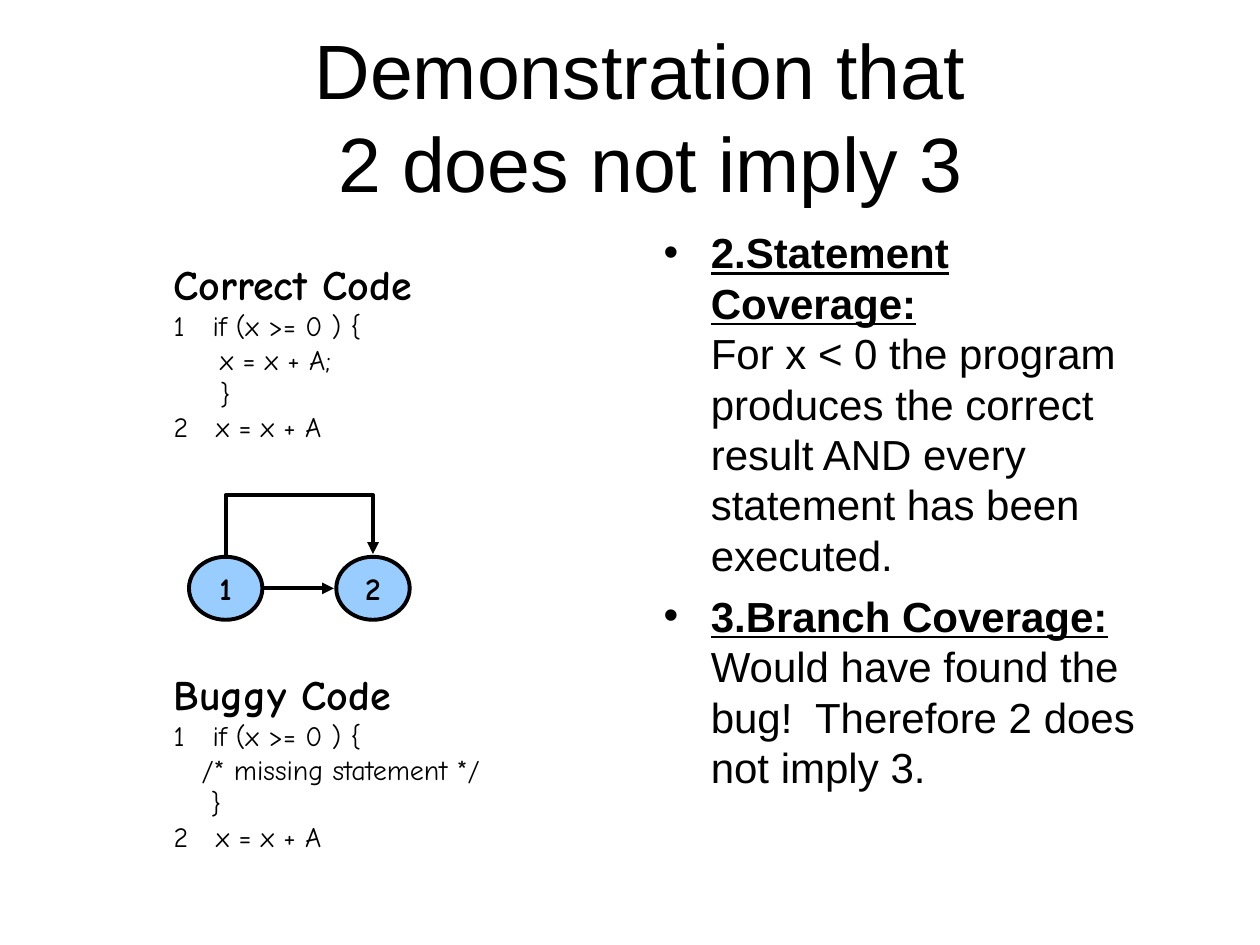
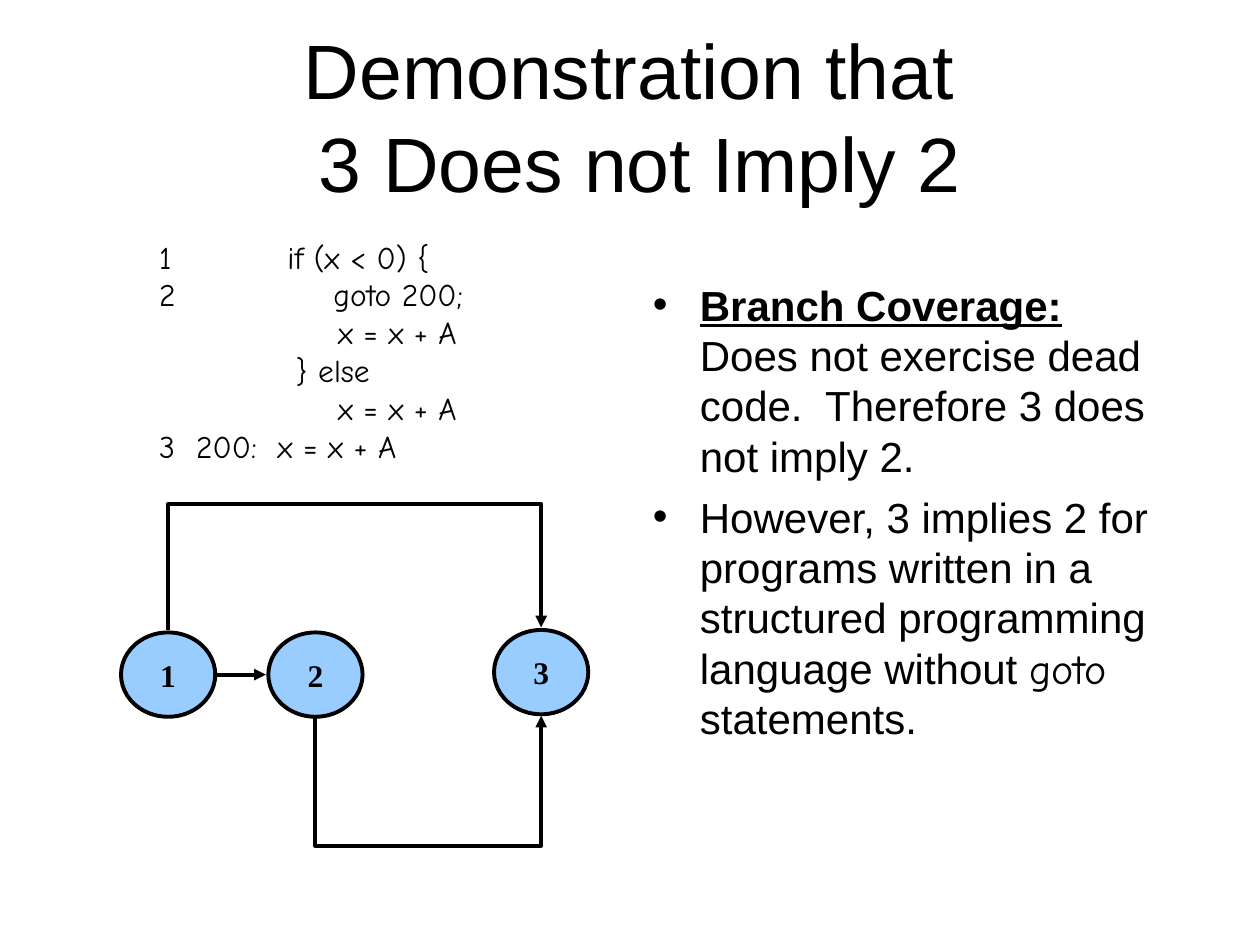
import pptx
import pptx.dml.color
import pptx.enum.shapes
import pptx.enum.text
import pptx.oxml.ns
import pptx.util
from lxml import etree

Cm = pptx.util.Cm
Pt = pptx.util.Pt
qn = pptx.oxml.ns.qn

BLACK = pptx.dml.color.RGBColor(0x00, 0x00, 0x00)
NODE_BLUE = pptx.dml.color.RGBColor(0x99, 0xCC, 0xFF)
BODY_FONT = "Arial"
CODE_FONT = "Comic Neue"
SERIF_FONT = "Times New Roman"
STROKE = Pt(2.25)

PLAIN, HEADING, CODE, BREAK = "plain", "heading", "code", "break"


def add_text_box(slide, box, anchor):
    frame = slide.shapes.add_textbox(*(Cm(length) for length in box)).text_frame
    frame.word_wrap = True
    frame.vertical_anchor = anchor
    return frame


def next_paragraph(frame, index):
    return frame.add_paragraph() if index else frame.paragraphs[0]


def style_paragraph(paragraph, size, name, bold=False):
    paragraph.line_spacing = Pt(1.2 * size)
    paragraph.font.size = Pt(size)
    paragraph.font.name = name
    paragraph.font.bold = bold
    paragraph.font.color.rgb = BLACK


def add_title(slide, text):
    frame = add_text_box(slide, (2.11, 0.84, 21.59, 2.97),
                         pptx.enum.text.MSO_ANCHOR.MIDDLE)
    title = frame.paragraphs[0]
    title.text = text
    title.alignment = pptx.enum.text.PP_ALIGN.CENTER
    style_paragraph(title, 44, BODY_FONT)


def add_bullets(slide, box, bullets):
    """Each bullet is a list of (kind, text) pieces."""
    frame = add_text_box(slide, box, pptx.enum.text.MSO_ANCHOR.TOP)
    for index, pieces in enumerate(bullets):
        paragraph = next_paragraph(frame, index)
        properties = paragraph._p.get_or_add_pPr()
        properties.set("marL", str(Cm(0.95)))
        properties.set("indent", str(-Cm(0.95)))
        etree.SubElement(properties, qn("a:buFont"), typeface=BODY_FONT)
        etree.SubElement(properties, qn("a:buChar"), char="•")
        if index:
            paragraph.space_before = Pt(6)
        style_paragraph(paragraph, 24, BODY_FONT)
        for kind, text in pieces:
            if kind == BREAK:
                paragraph.add_line_break()
                continue
            run = paragraph.add_run()
            run.text = text
            if kind == HEADING:
                run.font.bold = True
                run.font.underline = True
            elif kind == CODE:
                run.font.name = CODE_FONT


def add_code(slide, box, lines, size, heading=None):
    frame = add_text_box(slide, box, pptx.enum.text.MSO_ANCHOR.MIDDLE)
    styled = [(heading, 24, True)] if heading else []
    styled += [(line, size, False) for line in lines]
    for index, (text, points, bold) in enumerate(styled):
        paragraph = next_paragraph(frame, index)
        paragraph.text = text
        style_paragraph(paragraph, points, CODE_FONT, bold)


def add_node(slide, label, center, size, font_name):
    (x, y), (width, height) = center, size
    node = slide.shapes.add_shape(
        pptx.enum.shapes.MSO_SHAPE.OVAL,
        Cm(x - width / 2), Cm(y - height / 2), Cm(width), Cm(height))
    node.shadow.inherit = False
    node.fill.solid()
    node.fill.fore_color.rgb = NODE_BLUE
    node.line.color.rgb = BLACK
    node.line.width = STROKE
    node.text_frame.word_wrap = False
    node.text_frame.vertical_anchor = pptx.enum.text.MSO_ANCHOR.MIDDLE
    paragraph = node.text_frame.paragraphs[0]
    paragraph.text = label
    paragraph.alignment = pptx.enum.text.PP_ALIGN.CENTER
    style_paragraph(paragraph, 18, font_name, bold=True)


def add_arrow(slide, start, end, kind=pptx.enum.shapes.MSO_CONNECTOR.STRAIGHT):
    arrow = slide.shapes.add_connector(
        kind, *(Cm(length) for length in (*start, *end)))
    arrow.line.color.rgb = BLACK
    arrow.line.width = STROKE
    etree.SubElement(arrow.line._get_or_add_ln(), qn("a:tailEnd"), type="triangle")
    etree.SubElement(arrow._element.spPr, qn("a:effectLst"))
    return arrow


def add_detour(slide, start, end, via_y):
    """Arrow that leaves vertically, crosses at via_y and returns; end is a bit above start."""
    arrow = add_arrow(slide, start, end, pptx.enum.shapes.MSO_CONNECTOR.ELBOW)
    rise, run = start[1] - end[1], end[0] - start[0]
    middle_x, middle_y = (start[0] + end[0]) / 2, (start[1] + end[1]) / 2
    # A quarter turn makes the first leg vertical
    arrow.left, arrow.top = Cm(middle_x - rise / 2), Cm(middle_y - run / 2)
    arrow.width, arrow.height = Cm(rise), Cm(run)
    frame = arrow._element.spPr.find(qn("a:xfrm"))
    for key, value in (("rot", "5400000"), ("flipH", "1"), ("flipV", "1")):
        frame.set(key, value)
    bend = round((start[1] - via_y) / rise * 100000)
    guides = arrow._element.spPr.find(qn("a:prstGeom")).find(qn("a:avLst"))
    etree.SubElement(guides, qn("a:gd"), name="adj1", fmla=f"val {bend}")


def build_statement_slide(slide):
    add_title(slide, "Demonstration that\v 2 does not imply 3")
    add_bullets(slide, (13.13, 4.45, 10.59, 12.27), [
        [(HEADING, "2.Statement Coverage:"), (BREAK, ""),
         (PLAIN, "For x < 0 the program produces the correct result AND "
                 "every statement has been executed.")],
        [(HEADING, "3.Branch Coverage:"),
         (PLAIN, " Would have found the bug!  Therefore 2 does not imply 3.")],
    ])

    # Flow graph
    for label, x in (("1", 4.55), ("2", 7.52)):
        add_node(slide, label, (x, 11.86), (1.48, 1.27), CODE_FONT)
    add_arrow(slide, (5.33, 11.86), (6.73, 11.86))
    add_detour(slide, (4.55, 11.21), (7.52, 11.17), 9.98)

    # Code listings
    first, last = "1   if (x >= 0 ) {", "2   x = x + A"
    add_code(slide, (3.25, 5.08, 7.5, 3.99),
             [first, "     x = x + A;", "     }", last], 16, "Correct Code")
    add_code(slide, (3.25, 13.34, 7.5, 3.99),
             [first, "   /* missing statement */", "    }", last], 16, "Buggy Code")


def build_branch_slide(slide):
    add_title(slide, "Demonstration that \v3 Does not Imply 2")
    add_bullets(slide, (12.91, 5.5, 10.59, 11.43), [
        [(HEADING, "Branch Coverage:"),
         (PLAIN, " Does not exercise dead code.  Therefore 3 does not imply 2.")],
        [(PLAIN, "However, 3 implies 2 for programs written in a structured "
                 "programming language without "),
         (CODE, "goto"), (PLAIN, " statements.")],
    ])

    # Code listing
    add_code(slide, (2.96, 4.66, 7.83, 4.83), [
        "1           if (x < 0) {",
        "2               goto 200;",
        "                 x = x + A",
        "             } else",
        "                 x = x + A",
        "3  200:  x = x + A",
    ], 18)

    # Flow graph
    for label, center in (("1", (3.39, 13.6)), ("2", (6.36, 13.6)),
                          ("3", (10.91, 13.55))):
        add_node(slide, label, center, (1.9, 1.7), SERIF_FONT)
    add_arrow(slide, (4.37, 13.6), (5.36, 13.6))
    add_detour(slide, (3.39, 12.7), (10.91, 12.65), 10.16)
    add_detour(slide, (6.36, 14.48), (10.91, 14.43), 17.05)


def main():
    presentation = pptx.Presentation()
    presentation.slide_width = Cm(25.4)
    presentation.slide_height = Cm(19.05)
    blank = presentation.slide_layouts[6]
    for build in (build_statement_slide, build_branch_slide):
        build(presentation.slides.add_slide(blank))
    presentation.save("out.pptx")


if __name__ == "__main__":
    main()
